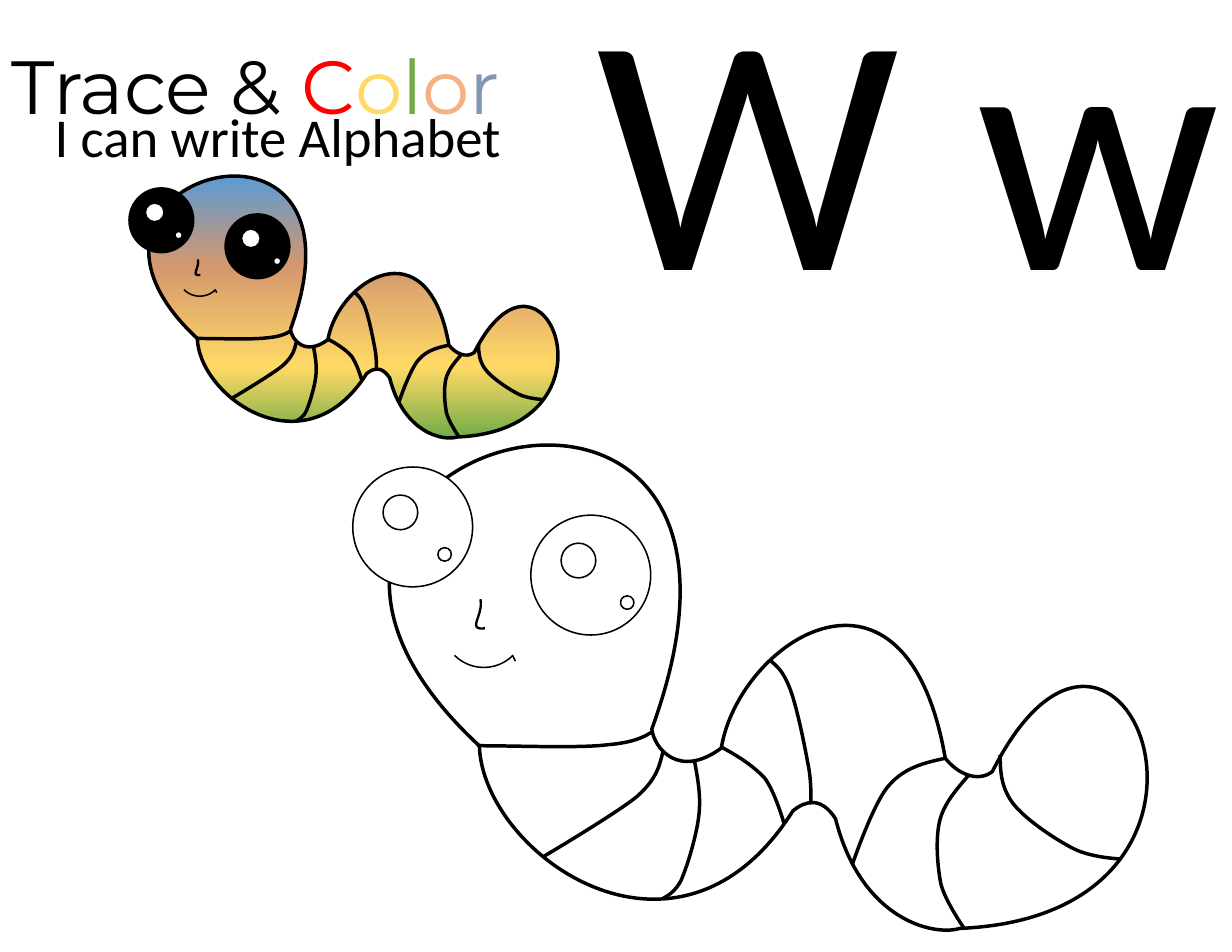
from lxml.etree import SubElement
from pptx import Presentation
from pptx.dml.color import RGBColor
from pptx.enum.shapes import MSO_SHAPE
from pptx.enum.text import MSO_AUTO_SIZE
from pptx.oxml.ns import qn
from pptx.util import Inches, Pt

BLACK = RGBColor(0, 0, 0)
WHITE = RGBColor(255, 255, 255)
RED = RGBColor(255, 0, 0)
YELLOW = RGBColor(0xFF, 0xD9, 0x66)
GREEN = RGBColor(0x70, 0xAD, 0x47)
PEACH = RGBColor(0xF4, 0xB1, 0x83)
SLATE = RGBColor(0x84, 0x97, 0xB0)
BLUE = RGBColor(0x5B, 0x9B, 0xD5)
CLAY = RGBColor(0xD4, 0x97, 0x6E)

TEXTS = [
    ((0, 0.3, 5.51, 0.92), "Montserrat", 48.4,
     [("Trace & ", BLACK), ("C", RED), ("o", YELLOW), ("l", GREEN),
      ("o", PEACH), ("r", SLATE)]),
    ((5.23, -0.68, 6.57, 3.79), "Calibri", 219, [("W w", BLACK)]),
    ((0.39, 0.87, 4.33, 0.69), "Calibri", 35.2,
     [("I can write Alphabet", BLACK)]),
]

BODY = [(5.82, 6.51),
        (5.84, 6.68), (6.06, 6.96), (6.44, 6.68),
        (6.6, 5.72), (8.09, 4.75), (8.44, 6.77),
        (8.55, 6.91), (8.73, 6.99), (8.86, 6.89),
        (10.01, 4.61), (11.42, 8.17), (8.57, 8.29),
        (8.34, 8.36), (7.69, 8.22), (7.46, 7.31),
        (7.33, 7.11), (7.19, 7.15), (7.08, 7.24),
        (6.05, 8.87), (4.31, 7.62), (4.28, 6.66),
        (1.39, 3.98), (7.34, 2.34), (5.82, 6.51)]
STRIPES = [
    [(8.93, 6.74), (8.93, 6.89), (8.94, 7.04), (9.05, 7.18), (9.16, 7.32),
     (9.43, 7.5), (9.59, 7.58), (9.75, 7.66), (10.01, 7.67), (10.01, 7.67)],
    [(8.65, 6.92), (8.54, 7.05), (8.43, 7.17), (8.39, 7.33), (8.35, 7.5),
     (8.37, 7.73), (8.4, 7.89), (8.44, 8.05), (8.61, 8.29), (8.61, 8.29)],
    [(8.44, 6.77), (8.26, 6.81), (8.08, 6.85), (7.94, 7.01), (7.8, 7.16),
     (7.61, 7.72), (7.61, 7.72)],
    [(6.88, 5.9), (6.94, 5.95), (6.99, 5.99), (7.05, 6.14), (7.11, 6.29),
     (7.18, 6.63), (7.21, 6.8), (7.25, 6.97), (7.24, 7.18), (7.24, 7.18)],
    [(6.44, 6.67), (6.59, 6.75), (6.73, 6.84), (6.83, 6.95), (6.92, 7.07),
     (7, 7.35), (7, 7.35)],
    [(6.2, 6.79), (6.23, 6.95), (6.26, 7.11), (6.24, 7.28), (6.22, 7.46),
     (6.14, 7.72), (6.09, 7.84), (6.04, 7.97), (5.92, 8.02), (5.92, 8.02)],
    [(5.92, 6.71), (5.89, 6.83), (5.87, 6.95), (5.69, 7.11), (5.51, 7.26),
     (4.85, 7.65), (4.85, 7.65)],
    [(5.83, 6.53), (5.75, 6.58), (5.66, 6.63), (5.42, 6.65), (5.19, 6.68),
     (4.62, 6.66), (4.43, 6.66), (4.23, 6.66), (4.27, 6.65), (4.27, 6.65)],
]
NOSE = [(4.33, 5.61), (4.16, 5.63), (4.32, 5.5), (4.29, 5.35)]
ARCS = [(3.95, 5.22, 0.74, 45, 135), (4.05, 5.72, 0.57, 327, 339)]
EYES = [(4.74, 4.6, 0.8), (3.15, 4.17, 0.76)]
EYE, GLINT, DOT = 1.07, 0.31, 0.12
ORIGIN = (3.48, 3.97)
RAINBOW = [(0, BLUE), (34, CLAY), (73, YELLOW), (100, GREEN)]
WORMS = [
    {"at": (1.33, 1.57), "scale": 0.54, "grad": RAINBOW, "eye": BLACK},
    {"at": ORIGIN, "scale": 1, "grad": None, "eye": WHITE},
]


def paint(shape, fill, width):
    shape.shadow.inherit = False
    if fill is None:
        shape.fill.background()
    else:
        shape.fill.solid()
        shape.fill.fore_color.rgb = fill
    shape.line.color.rgb = BLACK
    shape.line.width = Pt(width)


def shade(shape, stops):
    shape.fill.gradient()
    shape.fill.gradient_angle = 270
    ramp = shape._element.spPr.find(".//" + qn("a:gsLst"))
    for old in list(ramp):
        ramp.remove(old)
    for share, color in stops:
        stop = SubElement(ramp, qn("a:gs"), pos=str(share * 1000))
        SubElement(stop, qn("a:srgbClr"), val=str(color))


def place(point, worm):
    return [Inches(base + (value - start) * worm["scale"])
            for value, start, base in zip(point, ORIGIN, worm["at"])]


def blend(quad, t):
    u = 1 - t
    parts = (u ** 3, 3 * u * u * t, 3 * u * t * t, t ** 3)
    return tuple(round(sum(k * p[i] for k, p in zip(parts, quad)))
                 for i in (0, 1))


def curve(group, points, worm, fill, width, close=False):
    knots = [place(p, worm) for p in points]
    trail = [blend(knots[i:i + 4], n / 20)
             for i in range(0, len(knots) - 1, 3) for n in range(1, 21)]
    pen = group.shapes.build_freeform(*knots[0], scale=1.0)
    pen.add_line_segments(trail, close=close)
    shape = pen.convert_to_shape()
    track = shape._element.find(".//" + qn("a:path"))
    for old in list(track)[1:]:
        track.remove(old)
    for i in range(1, len(knots), 3):
        bend = SubElement(track, qn("a:cubicBezTo"))
        for x, y in knots[i:i + 3]:
            SubElement(bend, qn("a:pt"), x=str(x - shape.left),
                       y=str(y - shape.top))
    if close:
        SubElement(track, qn("a:close"))
    paint(shape, fill, width)
    return shape


def round_part(group, kind, x, y, size, worm, fill):
    side = Inches(size * worm["scale"])
    shape = group.shapes.add_shape(kind, *place((x, y), worm), side, side)
    paint(shape, fill, 1)
    return shape


def draw_eye(group, eye, worm):
    x, y, gap = eye
    for dx, dy, size, fill in [(0, 0, EYE, worm["eye"]),
                               (0.27, 0.25, GLINT, WHITE),
                               (gap, 0.72, DOT, WHITE)]:
        round_part(group, MSO_SHAPE.OVAL, x + dx, y + dy, size, worm, fill)


def draw_worm(slide, worm):
    group = slide.shapes.add_group_shape()
    body = curve(group, BODY, worm, WHITE, 2.25, True)
    if worm["grad"]:
        shade(body, worm["grad"])
    for stripe in STRIPES:
        curve(group, stripe, worm, None, 2.25)
    draw_eye(group, EYES[0], worm)
    for x, y, size, start, end in ARCS:
        arc = round_part(group, MSO_SHAPE.ARC, x, y, size, worm, None)
        arc.adjustments[0] = start * 0.6
        arc.adjustments[1] = end * 0.6
    curve(group, NOSE, worm, None, 1.5)
    draw_eye(group, EYES[1], worm)


def write(slide, box, face, size, runs):
    frame = slide.shapes.add_textbox(*map(Inches, box)).text_frame
    frame.word_wrap = True
    frame.auto_size = MSO_AUTO_SIZE.SHAPE_TO_FIT_TEXT
    for text, color in runs:
        run = frame.paragraphs[0].add_run()
        run.text = text
        for key, value in {"name": face, "size": Pt(size)}.items():
            setattr(run.font, key, value)
        run.font.color.rgb = color


def main():
    deck = Presentation()
    deck.slide_width, deck.slide_height = Inches(11), Inches(8.5)
    slide = deck.slides.add_slide(deck.slide_layouts[6])
    for item in TEXTS:
        write(slide, *item)
    for worm in WORMS:
        draw_worm(slide, worm)
    deck.save("out.pptx")


if __name__ == "__main__":
    main()
